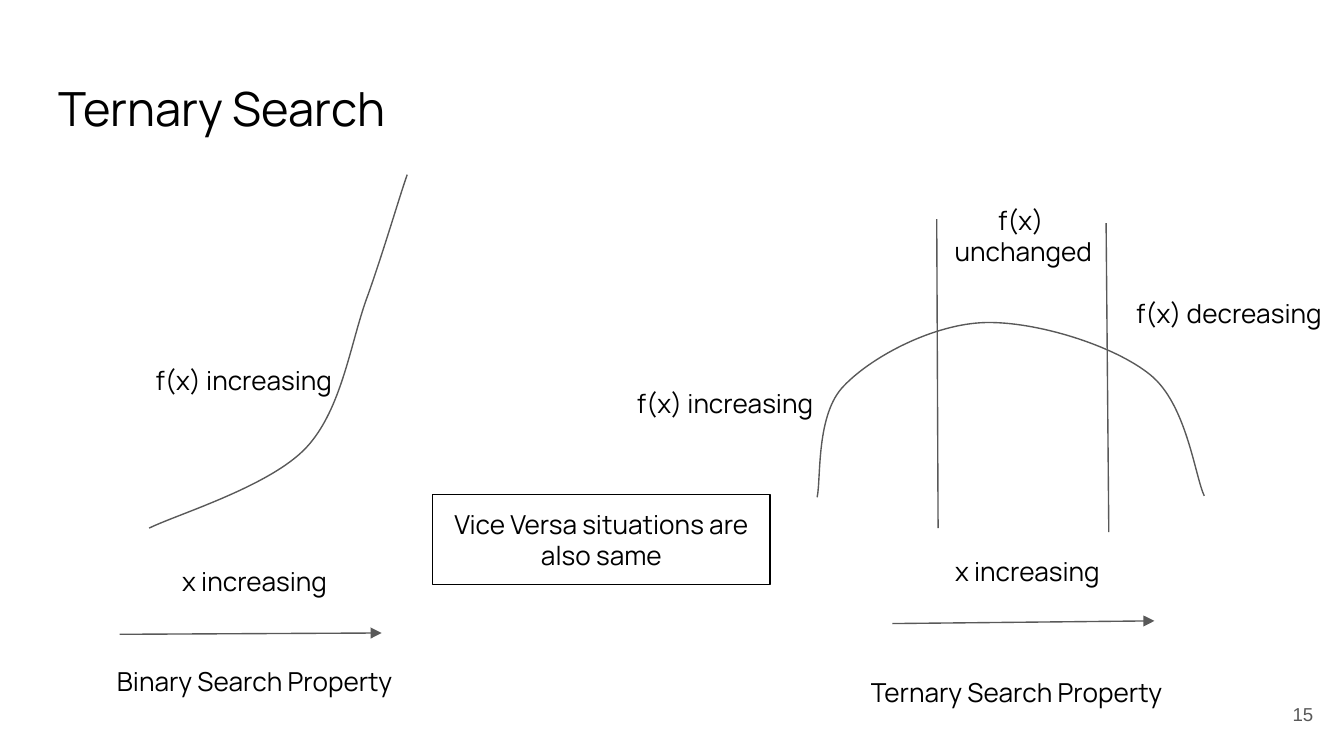
from lxml import etree
from pptx import Presentation
from pptx.dml.color import RGBColor
from pptx.enum.shapes import MSO_CONNECTOR, MSO_SHAPE
from pptx.enum.text import MSO_ANCHOR, MSO_AUTO_SIZE, PP_ALIGN
from pptx.oxml.ns import qn
from pptx.util import Pt

PX = 9144  # EMU per px, 100 px to the inch
SLIDE_SIZE = (1000, 562.5)
INSET = 10
LABEL_WIDTH = 251
ONE_LINE, TWO_LINES = 44, 67

BLACK = RGBColor(0x00, 0x00, 0x00)
GRAY = RGBColor(0x59, 0x59, 0x59)
WHITE = RGBColor(0xFF, 0xFF, 0xFF)

LEFT, CENTER, RIGHT = PP_ALIGN.LEFT, PP_ALIGN.CENTER, PP_ALIGN.RIGHT
TOP, MIDDLE = MSO_ANCHOR.TOP, MSO_ANCHOR.MIDDLE
STRAIGHT, RECTANGLE = MSO_CONNECTOR.STRAIGHT, MSO_SHAPE.RECTANGLE
GROW, FIXED = MSO_AUTO_SIZE.SHAPE_TO_FIT_TEXT, MSO_AUTO_SIZE.NONE

TITLE_STYLE = {"size": Pt(25.2), "name": "Manrope", "color": BLACK}
LABEL_STYLE = {"size": Pt(14), "name": "Manrope", "color": BLACK}
NUMBER_STYLE = {"size": Pt(10), "name": "Arial", "color": GRAY}

TITLE = ("Ternary Search", (34, 49, 932, 63))
SLIDE_NUMBER = ("15", (927, 510, 60, 43))
NOTE = ("Vice Versa situations are also same", (322, 368))

# Text, left, top
LABELS = [
    ("x increasing", 64, 411),
    ("x increasing", 639, 403),
    ("f(x) increasing", 56, 261),
    ("f(x) increasing", 414, 278),
    ("f(x) decreasing", 789, 211),
    ("f(x) \nunchanged", 636, 142),
    ("Ternary Search Property", 631, 493),
    ("Binary Search Property", 64, 485),
]

# Start point, then two control points and an end point per segment
CURVES = [
    [(111, 393),
     (131, 383), (201, 362), (228, 333),
     (255, 304), (261, 253), (274, 219),
     (286, 185), (298, 144), (303, 130)],
    [(608, 370),
     (611, 356), (607, 308), (628, 287),
     (649, 265), (695, 241), (733, 240),
     (771, 239), (829, 257), (856, 279),
     (883, 301), (889, 354), (896, 369)],
]

# From, to, has arrowhead
LINES = [
    ((89, 472), (284, 471), True),
    ((664, 464), (859, 462), True),
    ((697, 163), (698, 393), False),
    ((823, 166), (825, 396), False),
]


def emu(*lengths):
    return [round(length * PX) for length in lengths]


def set_line(shape, color):
    shape.line.color.rgb = color
    shape.line.width = Pt(0.75)


def write_text(shape, text, style, align=CENTER, anchor=TOP, auto_size=GROW):
    frame = shape.text_frame
    inset = emu(INSET)[0]
    settings = {"text": text, "word_wrap": True, "auto_size": auto_size,
                "vertical_anchor": anchor, "margin_left": inset,
                "margin_right": inset, "margin_top": inset,
                "margin_bottom": inset}
    for key, value in settings.items():
        setattr(frame, key, value)
    for paragraph in frame.paragraphs:
        paragraph.alignment = align
        for run in paragraph.runs:
            for key, value in style.items():
                if key == "color":
                    run.font.color.rgb = value
                else:
                    setattr(run.font, key, value)


def add_text(slide, text, box, style, **layout):
    write_text(slide.shapes.add_textbox(*emu(*box)), text, style, **layout)


def add_curve(slide, points):
    start, *rest = points
    builder = slide.shapes.build_freeform(*start, scale=PX)
    builder.add_line_segments(rest, close=False)
    shape = builder.convert_to_shape()
    shape.shadow.inherit = False
    shape.fill.background()
    set_line(shape, GRAY)
    # Join every three straight segments into one cubic segment
    steps = list(shape._element.iter(qn("a:lnTo")))
    for first in range(0, len(steps), 3):
        cubic = etree.Element(qn("a:cubicBezTo"))
        steps[first].addprevious(cubic)
        for step in steps[first:first + 3]:
            cubic.append(step[0])
            step.getparent().remove(step)


def add_line(slide, start, end, has_arrowhead):
    line = slide.shapes.add_connector(STRAIGHT, *emu(*start, *end))
    set_line(line, GRAY)
    if has_arrowhead:
        outline = line.line._get_or_add_ln()
        etree.SubElement(outline, qn("a:tailEnd"), type="triangle")
    etree.SubElement(line._element.spPr, qn("a:effectLst"))


def main():
    presentation = Presentation()
    presentation.slide_width, presentation.slide_height = emu(*SLIDE_SIZE)
    slide = presentation.slides.add_slide(presentation.slide_layouts[6])
    slide.background.fill.solid()
    slide.background.fill.fore_color.rgb = WHITE

    # Title and slide number
    add_text(slide, *TITLE, TITLE_STYLE, align=LEFT, auto_size=FIXED)
    add_text(slide, *SLIDE_NUMBER, NUMBER_STYLE, align=RIGHT, anchor=MIDDLE,
             auto_size=FIXED)

    # Function curves, x arrows and plateau limits
    for points in CURVES:
        add_curve(slide, points)
    for line in LINES:
        add_line(slide, *line)

    # Labels
    for text, left, top in LABELS:
        height = TWO_LINES if "\n" in text else ONE_LINE
        add_text(slide, text, (left, top, LABEL_WIDTH, height), LABEL_STYLE)

    # Framed note
    text, corner = NOTE
    note = slide.shapes.add_shape(RECTANGLE, *emu(*corner, LABEL_WIDTH, TWO_LINES))
    note.shadow.inherit = False
    note.fill.background()
    set_line(note, BLACK)
    write_text(note, text, LABEL_STYLE)

    presentation.save("out.pptx")


if __name__ == "__main__":
    main()
